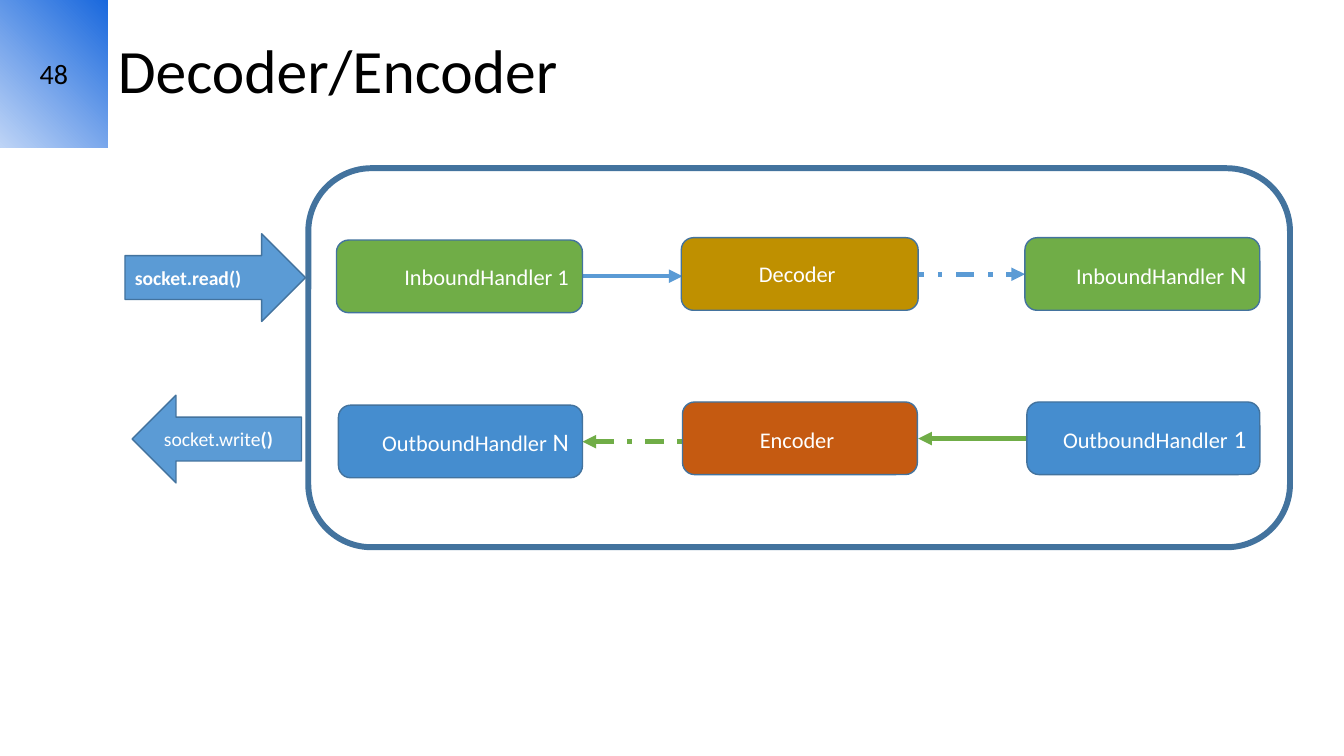
import pptx
import pptx.dml.color
import pptx.enum.dml
import pptx.enum.shapes
import pptx.enum.text
import pptx.oxml.ns
import pptx.util
from lxml import etree

Cm, Pt = pptx.util.Cm, pptx.util.Pt
MSO = pptx.enum.shapes.MSO_SHAPE
ALIGN = pptx.enum.text.PP_ALIGN
DASH_DOT = pptx.enum.dml.MSO_LINE.DASH_DOT

EDGE, BLUE, GREEN, SKY = "43739E", "5B9BD5", "70AD47", "458DCF"
GOLD, RUST, WHITE, BLACK = "BF9000", "C55A11", "FFFFFF", "000000"
BOX_HEIGHT = 1.83

# Runs are (text, size, bold)
TITLE = [("Decoder/Encoder", 44, False)]
PAGE = [("48", 20, False)]
FRAME = (7.77, 4.24, 24.74, 9.55)
BADGE = (0, 0, 2.72, 3.71)
TITLE_BOX = (2.72, 0, 31.14, 3.71)

# preset, (left, top, width, height), runs
SOCKETS = [
    (MSO.RIGHT_ARROW, (3.15, 5.89, 4.55, 2.21), [("socket.read()", 14, True)]),
    (MSO.LEFT_ARROW, (3.33, 9.96, 4.27, 2.21),
     [("socket.write", 14, False), ("()", 14, True)]),
]

# left, top, width, fill, alignment, runs
HANDLERS = [
    (8.48, 6.05, 6.2, GREEN, ALIGN.RIGHT, [("InboundHandler 1", 16, False)]),
    (17.17, 5.99, 5.97, GOLD, ALIGN.CENTER, [("Decoder ", 16, False)]),
    (25.83, 5.99, 5.92, GREEN, ALIGN.RIGHT,
     [("InboundHandler", 16, False), (" N", 18, False)]),
    (8.53, 10.21, 6.15, SKY, ALIGN.RIGHT,
     [("OutboundHandler", 16, False), (" N", 18, False)]),
    (17.2, 10.13, 5.92, RUST, ALIGN.CENTER,
     [("Encoder", 16, False), (" ", 18, False)]),
    (25.88, 10.13, 5.87, SKY, ALIGN.RIGHT,
     [("OutboundHandler", 16, False), (" 1", 18, False)]),
]

# left, right, y, colour, dash, end that carries the arrowhead
LINKS = [
    (14.68, 17.2, 6.96, BLUE, None, "tailEnd"),
    (22.83, 25.83, 6.91, BLUE, DASH_DOT, "tailEnd"),
    (14.68, 17.25, 11.13, GREEN, DASH_DOT, "headEnd"),
    (23.14, 25.88, 11.05, GREEN, None, "headEnd"),
]


def rgb(value):
    return pptx.dml.color.RGBColor.from_string(value)


def write(sp, runs, color, align=ALIGN.LEFT):
    tf = sp.text_frame
    tf.word_wrap = True
    tf.vertical_anchor = pptx.enum.text.MSO_ANCHOR.MIDDLE
    p = tf.paragraphs[0]
    p.alignment = align
    for text, size, bold in runs:
        r = p.add_run()
        r.text = text
        for name, value in {"name": "Calibri", "size": Pt(size), "bold": bold}.items():
            setattr(r.font, name, value)
        r.font.color.rgb = rgb(color)
    return p


def add_shape(s, preset, box, fill, line_width=1):
    sp = s.shapes.add_shape(preset, *map(Cm, box))
    sp.shadow.inherit = False
    sp.fill.solid()
    sp.fill.fore_color.rgb = rgb(fill)
    sp.line.color.rgb = rgb(EDGE)
    sp.line.width = Pt(line_width)
    return sp


def add_badge(s):
    sp = add_shape(s, MSO.RECTANGLE, BADGE, WHITE)
    sp.line.fill.background()
    sp.fill.gradient()
    sp.fill.gradient_angle = 225
    for stop, color, position in zip(sp.fill.gradient_stops, ("1968DD", "BED4F6"), (0, 1)):
        stop.color.rgb = rgb(color)
        stop.position = position
    write(sp, PAGE, BLACK, ALIGN.CENTER)


def add_link(s, left, right, y, color, dash, arrow_end):
    cx = s.shapes.add_connector(pptx.enum.shapes.MSO_CONNECTOR.STRAIGHT,
                                Cm(left), Cm(y), Cm(right), Cm(y))
    cx.line.color.rgb = rgb(color)
    cx.line.width = Pt(3.25)
    if dash:
        cx.line.dash_style = dash
    qn = pptx.oxml.ns.qn
    etree.SubElement(cx.line._get_or_add_ln(), qn("a:" + arrow_end), type="triangle")
    etree.SubElement(cx._element.spPr, qn("a:effectLst"))


def main():
    prs = pptx.Presentation()
    prs.slide_width, prs.slide_height = Cm(33.87), Cm(19.05)
    s = prs.slides.add_slide(prs.slide_layouts[6])

    add_shape(s, MSO.ROUNDED_RECTANGLE, FRAME, WHITE, 4.25)
    add_badge(s)
    title = s.shapes.add_textbox(*map(Cm, TITLE_BOX))
    write(title, TITLE, BLACK).line_spacing = 0.9

    for preset, box, runs in SOCKETS:
        write(add_shape(s, preset, box, BLUE), runs, WHITE)
    for link in LINKS:
        add_link(s, *link)
    for left, top, width, fill, align, runs in HANDLERS:
        box = (left, top, width, BOX_HEIGHT)
        write(add_shape(s, MSO.ROUNDED_RECTANGLE, box, fill), runs, WHITE, align)

    prs.save("out.pptx")


if __name__ == "__main__":
    main()
